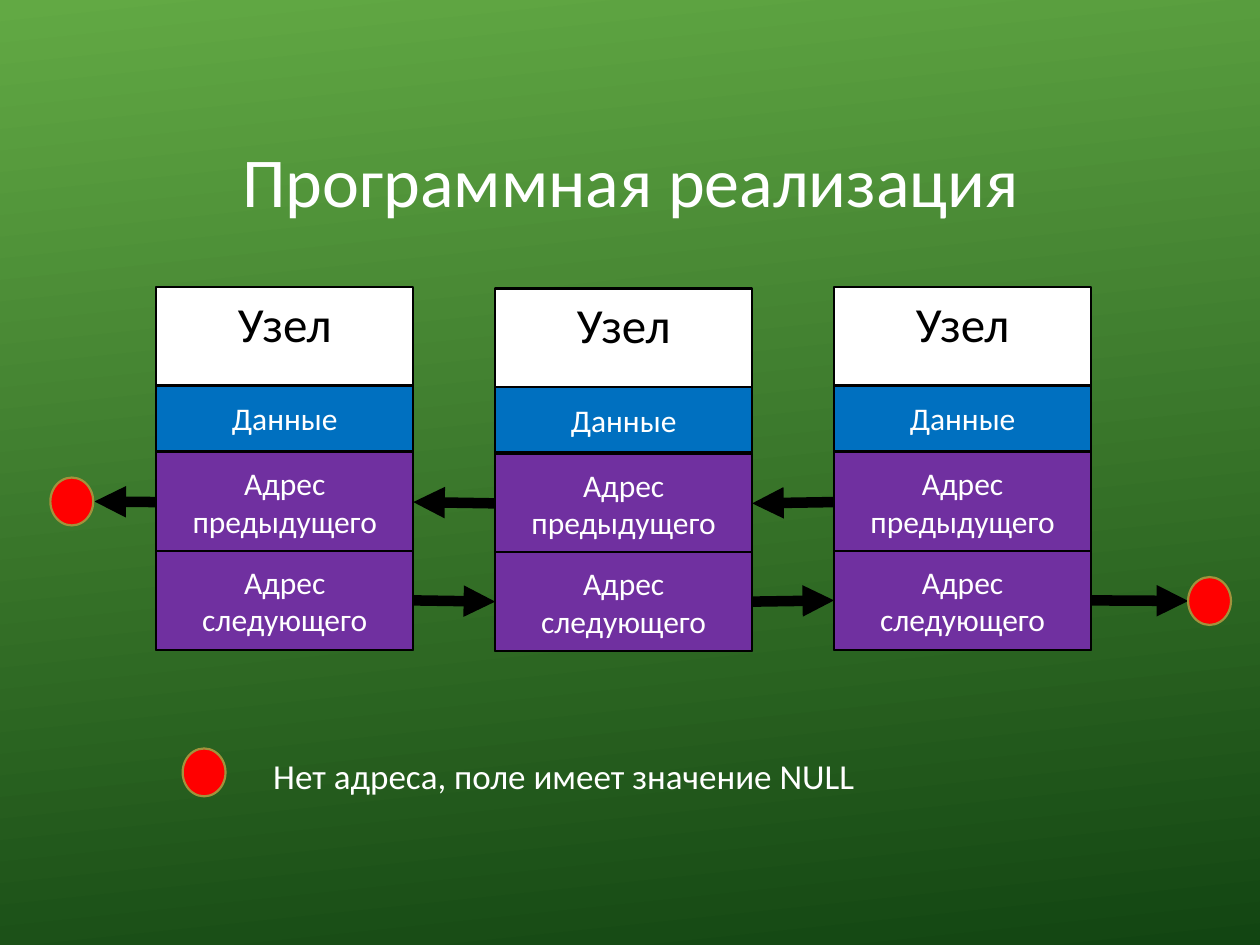
from lxml.etree import SubElement
from pptx import Presentation
from pptx.dml.color import RGBColor
from pptx.enum.shapes import MSO_CONNECTOR as Connector, MSO_SHAPE as Shape
from pptx.enum.text import MSO_ANCHOR as Anchor, MSO_AUTO_SIZE as AutoSize, PP_ALIGN as Align
from pptx.oxml.ns import qn
from pptx.util import Inches, Pt

COLORS = {
    "light": "62A944", "dark": "124512", "white": "FFFFFF", "black": "000000",
    "data": "0070C0", "address": "7030A0", "null": "FF0000", "rim": "A2923C",
}
TOP, LEFT, RIGHT = 0, 1, 3
NODE_LEFT, NODE_STEP, NODE_WIDTH = 1.24, 2.69, 2.04
NODE_TOPS = (2.28, 2.29, 2.28)
PARTS = {
    "node": ("Узел", 0, 2.88, "white"),
    "previous": ("Адрес предыдущего", 1.31, 0.79, "address"),
    "data": ("Данные", 0.78, 0.52, "data"),
    "next": ("Адрес следующего", 2.09, 0.79, "address"),
}


def color(name):
    """Return the palette colour with this name."""
    return RGBColor.from_string(COLORS[name])


def paint_background(page):
    """Fill the page with a slanted green gradient."""
    fill = page.background.fill
    fill.gradient()
    fill.gradient_angle = 360 - 84
    for stop, name, position in zip(fill.gradient_stops, ("light", "dark"), (0, 1)):
        stop.color.rgb = color(name)
        stop.position = position


def write(box, text, size, shade, align, anchor):
    """Put one formatted paragraph into a box."""
    frame = box.text_frame
    frame.text = text
    frame.word_wrap = True
    frame.auto_size = AutoSize.NONE
    frame.vertical_anchor = anchor
    para = frame.paragraphs[0]
    para.alignment = align
    for span in para.runs:
        span.font.name = "Calibri"
        span.font.size = Pt(size)
        span.font.color.rgb = color(shade)
    return para


def add_figure(shapes, kind, place, fill, line):
    """Add a filled and outlined preset shape."""
    figure = shapes.add_shape(kind, *map(Inches, place))
    figure.shadow.inherit = False
    figure.fill.solid()
    figure.fill.fore_color.rgb = color(fill)
    figure.line.color.rgb = color(line)
    figure.line.width = Pt(1.25)
    return figure


def add_node(page, left, top):
    """Add a grouped list node and return its parts by name."""
    group = page.shapes.add_group_shape()
    node = {}
    for name, (text, offset, height, fill) in PARTS.items():
        place = (left, top + offset, NODE_WIDTH, height)
        box = add_figure(group.shapes, Shape.RECTANGLE, place, fill, "black")
        if name == "node":
            write(box, text, 28, "black", Align.CENTER, Anchor.TOP)
        else:
            write(box, text, 18, "white", Align.CENTER, Anchor.MIDDLE)
        node[name] = box
    return node


def add_arrow(page, source, side, target=None, target_side=None, point=(0, 0)):
    """Draw a thick arrow from a box side to another box side or a point."""
    end = [Inches(value) for value in point]
    arrow = page.shapes.add_connector(Connector.STRAIGHT, 0, 0, *end)
    arrow.begin_connect(source, side)
    if target is not None:
        arrow.end_connect(target, target_side)
    arrow.line.color.rgb = color("black")
    arrow.line.width = Pt(6)
    SubElement(arrow.line._get_or_add_ln(), qn("a:tailEnd"), type="triangle")
    SubElement(arrow._element.spPr, qn("a:effectLst"))


def add_null(page, left, top):
    """Add a red circle that marks an empty address."""
    add_figure(page.shapes, Shape.OVAL, (left, top, 0.34, 0.38), "null", "rim")


def add_title(page, text):
    """Place and format the title."""
    title = page.shapes.title
    title.left, title.top = Inches(1.8), Inches(0.66)
    title.width, title.height = Inches(6.41), Inches(1.62)
    para = write(title, text, 40, "white", Align.CENTER, Anchor.MIDDLE)
    para.line_spacing = 0.9


def add_caption(page, text):
    """Add the legend text."""
    box = page.shapes.add_textbox(*map(Inches, (2.07, 5.94, 5.04, 0.77)))
    write(box, text, 20, "white", Align.LEFT, Anchor.TOP)


def main():
    """Build the slide about a doubly linked list."""
    deck = Presentation()
    deck.slide_width, deck.slide_height = Inches(10), Inches(7.5)
    page = deck.slides.add_slide(deck.slide_layouts[5])
    paint_background(page)
    add_title(page, "Программная реализация")

    nodes = [add_node(page, NODE_LEFT + index * NODE_STEP, top)
             for index, top in enumerate(NODE_TOPS)]
    for before, after in zip(nodes, nodes[1:]):
        add_arrow(page, after["previous"], LEFT, before["previous"], RIGHT)
        add_arrow(page, before["next"], RIGHT, after["next"], LEFT)
    add_arrow(page, nodes[0]["previous"], LEFT, point=(0.75, 3.98))
    add_arrow(page, nodes[-1]["next"], RIGHT, point=(9.43, 4.77))

    for left, top in ((0.4, 3.79), (9.43, 4.58), (1.45, 5.94)):
        add_null(page, left, top)
    add_caption(page, "Нет адреса, поле имеет значение NULL")
    deck.save("out.pptx")


if __name__ == "__main__":
    main()
